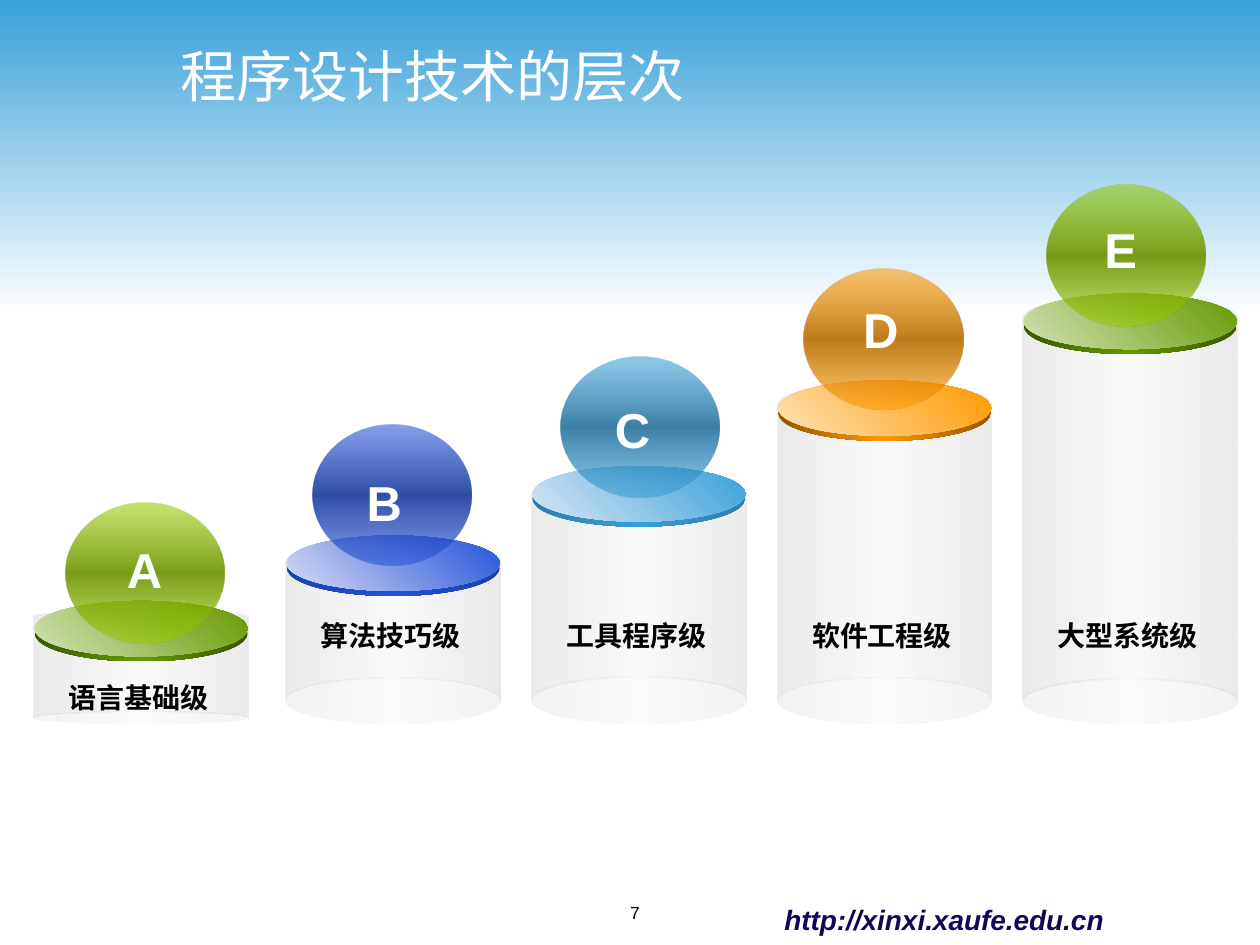
from collections import namedtuple

from lxml import etree
from pptx import Presentation
from pptx.dml.color import RGBColor
from pptx.enum.shapes import MSO_SHAPE
from pptx.enum.text import MSO_ANCHOR, PP_ALIGN
from pptx.oxml.ns import qn
from pptx.util import Pt

RECTANGLE, OVAL, CAN = MSO_SHAPE.RECTANGLE, MSO_SHAPE.OVAL, MSO_SHAPE.CAN
LEFT, CENTER, RIGHT = PP_ALIGN.LEFT, PP_ALIGN.CENTER, PP_ALIGN.RIGHT
TOP, MIDDLE = MSO_ANCHOR.TOP, MSO_ANCHOR.MIDDLE

LATIN_FONT = "Arial"
CHINESE_FONT = "Noto Sans CJK SC"

WHITE = RGBColor(0xFF, 0xFF, 0xFF)
LETTER_WHITE = RGBColor(0xFE, 0xFF, 0xFF)
BLACK = RGBColor(0x00, 0x00, 0x00)
LABEL_BLACK = RGBColor(0x01, 0x00, 0x00)
NAVY = RGBColor(0x13, 0x06, 0x58)
SKY = RGBColor(0x38, 0xA0, 0xDA)
CAN_EDGE = RGBColor(0x95, 0x95, 0x95)
CAN_MIDDLE = RGBColor(0xEA, 0xEA, 0xEA)

Palette = namedtuple("Palette", "disk disk_light rim sphere sphere_dark")
GREEN = Palette(RGBColor(0x66, 0x99, 0x00), RGBColor(0xD3, 0xE2, 0xB6),
                RGBColor(0x3A, 0x58, 0x00), RGBColor(0x99, 0xCC, 0x00),
                RGBColor(0x6D, 0x92, 0x00))
BLUE = Palette(RGBColor(0x23, 0x53, 0xD9), RGBColor(0xD8, 0xDB, 0xF4),
               RGBColor(0x1B, 0x41, 0xAA), RGBColor(0x23, 0x53, 0xD9),
               RGBColor(0x19, 0x3B, 0x9B))
CYAN = Palette(SKY, RGBColor(0xD9, 0xE6, 0xF4), RGBColor(0x2C, 0x7E, 0xAB),
               SKY, RGBColor(0x28, 0x72, 0x9C))
ORANGE = Palette(RGBColor(0xFF, 0x99, 0x00), RGBColor(0xFF, 0xE2, 0xB6),
                 RGBColor(0x92, 0x58, 0x00), RGBColor(0xFF, 0x99, 0x00),
                 RGBColor(0xB6, 0x6D, 0x00))

COLUMN_WIDTH = 122.6
COLUMN_BOTTOM = 413.6
DISK_WIDTH, DISK_HEIGHT, RIM_DEPTH = 121.7, 31.7, 2.9
SPHERE_WIDTH, SPHERE_HEIGHT = 91, 80.6
LETTER_WIDTH, LETTER_HEIGHT = 34.5, 41

# Offsets: sphere from the disk's corner, letter from the sphere's corner.
Level = namedtuple("Level", "letter label palette left can_top bend disk_top "
                            "sphere_offset letter_offset label_top")
LEVELS = [
    Level("A", "语言基础级", GREEN, 19.4, 349, 0.105, 343.4,
          (18, -56.1), (28, 17.3), 385.2),
    Level("B", "算法技巧级", BLUE, 163.4, 308.2, 0.25, 306,
          (15.2, -63.4), (23.7, 23.8), 350),
    Level("C", "工具程序级", CYAN, 303.8, 270, 0.218, 266.4,
          (16.6, -62.6), (23.8, 20.8), 350),
    Level("D", "软件工程级", ORANGE, 444.2, 218.9, 0.213, 217.4,
          (15.2, -64), (26.6, 14.4), 350),
    Level("E", "大型系统级", GREEN, 584.6, 169.2, 0.21, 167.8,
          (13.4, -62), (25.2, 15.9), 350),
]


def set_gradient(shape, stops, angle):
    """Fill with evenly spaced stops, each a (colour, opacity percent) pair."""
    gradient = etree.Element(qn("a:gradFill"), rotWithShape="1")
    stop_list = etree.SubElement(gradient, qn("a:gsLst"))
    for index, (color, opacity) in enumerate(stops):
        position = 100000 * index // (len(stops) - 1)
        stop = etree.SubElement(stop_list, qn("a:gs"), pos=str(position))
        color_element = etree.SubElement(stop, qn("a:srgbClr"), val=str(color))
        if opacity < 100:
            etree.SubElement(color_element, qn("a:alpha"), val=str(opacity * 1000))
    etree.SubElement(gradient, qn("a:lin"), ang=str(angle * 60000), scaled="0")
    shape._element.spPr.find(qn("a:prstGeom")).addnext(gradient)


def add_gradient_shape(slide, kind, box, stops, angle):
    shape = slide.shapes.add_shape(kind, *map(Pt, box))
    shape.shadow.inherit = False
    shape.line.fill.background()
    set_gradient(shape, stops, angle)
    return shape


def write_text(shape, text, color, alignment, anchor=TOP, wrap=True, **font_values):
    frame = shape.text_frame
    frame.word_wrap = wrap
    frame.vertical_anchor = anchor
    paragraph = frame.paragraphs[0]
    paragraph.alignment = alignment
    run = paragraph.add_run()
    run.text = text
    for name, value in {"name": LATIN_FONT, **font_values}.items():
        setattr(run.font, name, value)
    run.font.color.rgb = color
    etree.SubElement(run._r.get_or_add_rPr(), qn("a:ea"), typeface=CHINESE_FONT)


def add_text(slide, box, *content, **values):
    write_text(slide.shapes.add_textbox(*map(Pt, box)), *content, **values)


def add_header(slide, box):
    left, top, width, height = box
    band = add_gradient_shape(slide, RECTANGLE, box, [(SKY, 100), (WHITE, 100)], 90)
    title = slide.shapes.title
    band._element.getparent().insert(2, band._element)
    title.left, title.top = Pt(left + 95.8), Pt(top + 23.8)
    title.width, title.height = Pt(558), Pt(38.2)
    write_text(title, "程序设计技术的层次", WHITE, LEFT, anchor=MIDDLE,
               name=CHINESE_FONT, size=Pt(32))


def add_level(slide, level):
    """Place one column with its disk, label, sphere and letter."""
    palette = level.palette
    can = add_gradient_shape(
        slide, CAN,
        (level.left, level.can_top, COLUMN_WIDTH, COLUMN_BOTTOM - level.can_top),
        [(CAN_EDGE, 20), (CAN_MIDDLE, 20), (CAN_EDGE, 20)], 0)
    can.adjustments[0] = level.bend
    can._element.spPr.find(qn("a:xfrm")).set("flipV", "1")

    rim_stops = [(palette.rim, 100), (palette.disk, 100), (palette.rim, 100)]
    disk_stops = [(palette.disk_light, 100), (palette.disk, 100)]
    for drop, stops, angle in ((RIM_DEPTH, rim_stops, 0), (0, disk_stops, 315)):
        add_gradient_shape(
            slide, OVAL,
            (level.left + 0.4, level.disk_top + drop, DISK_WIDTH, DISK_HEIGHT),
            stops, angle)

    add_text(slide, (level.left + 0.6, level.label_top, 118.4, 26.6), level.label,
             LABEL_BLACK, CENTER, size=Pt(16), bold=True)

    sphere_left = level.left + level.sphere_offset[0]
    sphere_top = level.disk_top + level.sphere_offset[1]
    add_gradient_shape(
        slide, OVAL, (sphere_left, sphere_top, SPHERE_WIDTH, SPHERE_HEIGHT),
        [(palette.sphere, 55), (palette.sphere_dark, 90), (palette.sphere, 55)], 90)
    across, down = level.letter_offset
    add_text(slide,
             (sphere_left + across, sphere_top + down, LETTER_WIDTH, LETTER_HEIGHT),
             level.letter, LETTER_WHITE, CENTER, wrap=False, size=Pt(28), bold=True)


def add_footer(slide, box):
    left, top, width, height = box
    add_text(slide, (left + 422.6, top, 215.3, height), "http://xinxi.xaufe.edu.cn",
             NAVY, RIGHT, size=Pt(16), bold=True, italic=True)
    add_text(slide, (left + 329.8, top, 66.2, 20.9), "7", BLACK, CENTER, size=Pt(10))


def main():
    presentation = Presentation()
    presentation.slide_width, presentation.slide_height = Pt(720), Pt(540)
    slide = presentation.slides.add_slide(presentation.slide_layouts[5])
    add_header(slide, (0, 0, 720, 180))
    for level in LEVELS:
        add_level(slide, level)
    add_footer(slide, (0, 511.9, 720, 28.1))
    presentation.save("out.pptx")


if __name__ == "__main__":
    main()
